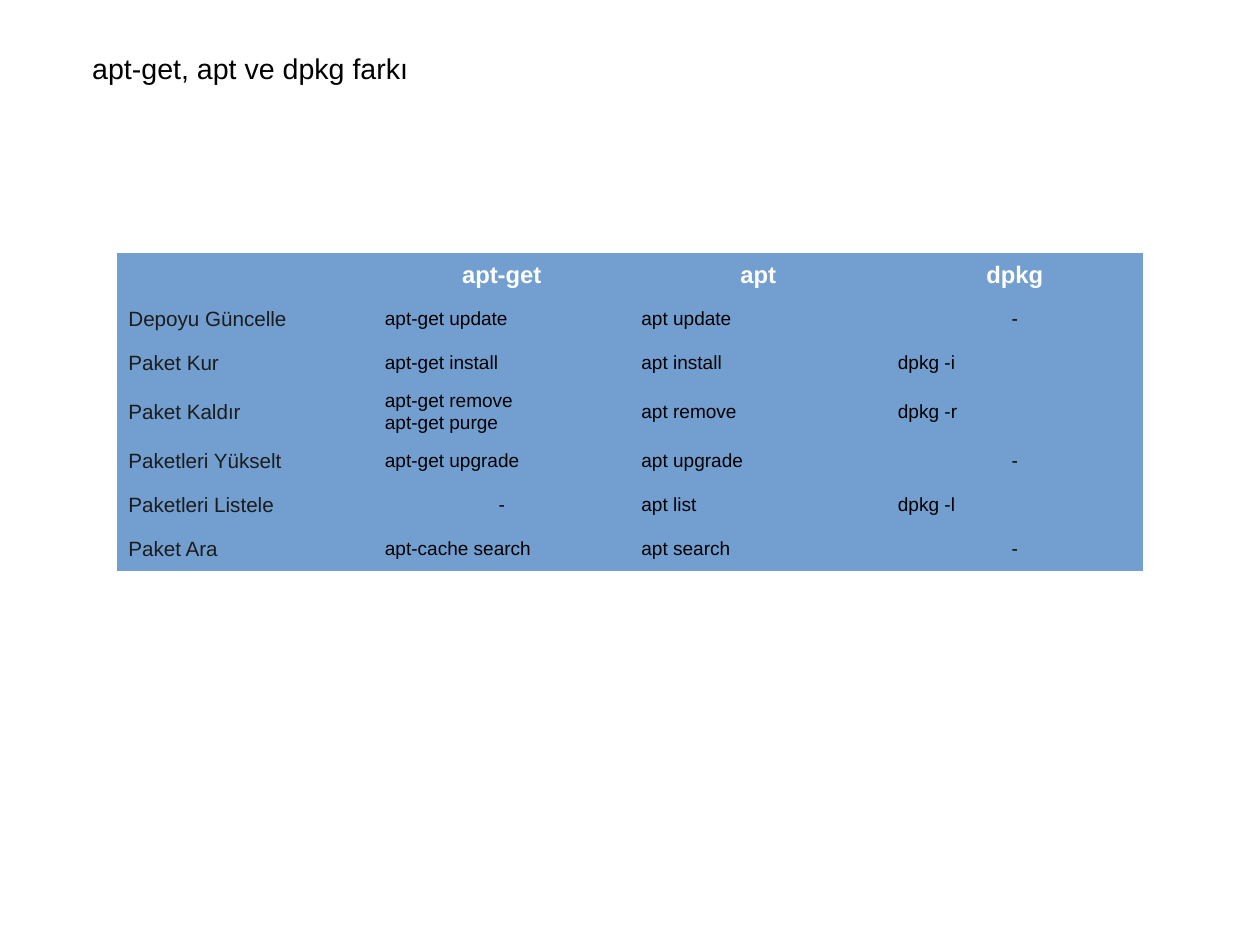
from dataclasses import dataclass

from pptx import Presentation
from pptx.dml.color import RGBColor
from pptx.enum.text import MSO_ANCHOR, MSO_AUTO_SIZE, PP_ALIGN
from pptx.oxml.ns import qn
from pptx.util import Emu, Pt

SCALE = 8000
FONT = "Arial"
BLUE = "729FCF"
PLAIN = "{2D5ABB26-0587-4C30-8999-92F81FD0307C}"


@dataclass(frozen=True)
class Style:
    size: int
    color: str
    bold: bool = False


TITLE = Style(18, "000000")
HEAD = Style(15, "FFFFFF", True)
LABEL = Style(13, "1C1C1C")
BODY = Style(12, "000000")


@dataclass(frozen=True)
class Row:
    cells: tuple[str, str, str, str]
    high: int = 44


ROWS = [
    Row(("", "apt-get", "apt", "dpkg")),
    Row(("Depoyu Güncelle", "apt-get update", "apt update", "-")),
    Row(("Paket Kur", "apt-get install", "apt install", "dpkg -i")),
    Row(("Paket Kaldır", "apt-get remove\napt-get purge", "apt remove", "dpkg -r"), 54),
    Row(("Paketleri Yükselt", "apt-get upgrade", "apt upgrade", "-")),
    Row(("Paketleri Listele", "-", "apt list", "dpkg -l")),
    Row(("Paket Ara", "apt-cache search", "apt search", "-")),
]


def px(count: int) -> Emu:
    return Emu(count * SCALE)


def paint(code: str) -> RGBColor:
    return RGBColor.from_string(code)


def write(frame, text: str, style: Style, align=PP_ALIGN.LEFT) -> None:
    for index, line in enumerate(text.split("\n")):
        para = frame.add_paragraph() if index else frame.paragraphs[0]
        para.alignment = align
        run = para.add_run()
        run.text = line
        run.font.name = FONT
        run.font.size = Pt(style.size)
        run.font.bold = style.bold
        run.font.color.rgb = paint(style.color)


def draw_title(slide) -> None:
    frame = slide.shapes.add_textbox(px(81), px(45), px(1089), px(44)).text_frame
    frame.word_wrap = True
    frame.auto_size = MSO_AUTO_SIZE.SHAPE_TO_FIT_TEXT
    write(frame, "apt-get, apt ve dpkg farkı", TITLE)


def draw_table(slide) -> None:
    count = len(ROWS[0].cells)
    wide = px(1026)
    high = px(sum(row.high for row in ROWS))
    shape = slide.shapes.add_table(len(ROWS), count, px(117), px(253), wide, high)
    for node in shape.element.iter(qn("a:tableStyleId")):
        node.text = PLAIN
    table = shape.table
    table.first_row = False
    table.horz_banding = False
    for column in table.columns:
        column.width = Emu(wide // count)
    for top, row in enumerate(ROWS):
        table.rows[top].height = px(row.high)
        for left, text in enumerate(row.cells):
            cell = table.cell(top, left)
            cell.fill.solid()
            cell.fill.fore_color.rgb = paint(BLUE)
            cell.vertical_anchor = MSO_ANCHOR.MIDDLE
            style = HEAD if top == 0 else LABEL if left == 0 else BODY
            middle = top == 0 or text == "-"
            align = PP_ALIGN.CENTER if middle else PP_ALIGN.LEFT
            write(cell.text_frame, text, style, align)


def main() -> None:
    deck = Presentation()
    deck.slide_width = px(1260)
    deck.slide_height = px(945)
    slide = deck.slides.add_slide(deck.slide_layouts[6])
    draw_table(slide)
    draw_title(slide)
    deck.save("out.pptx")


if __name__ == "__main__":
    main()
